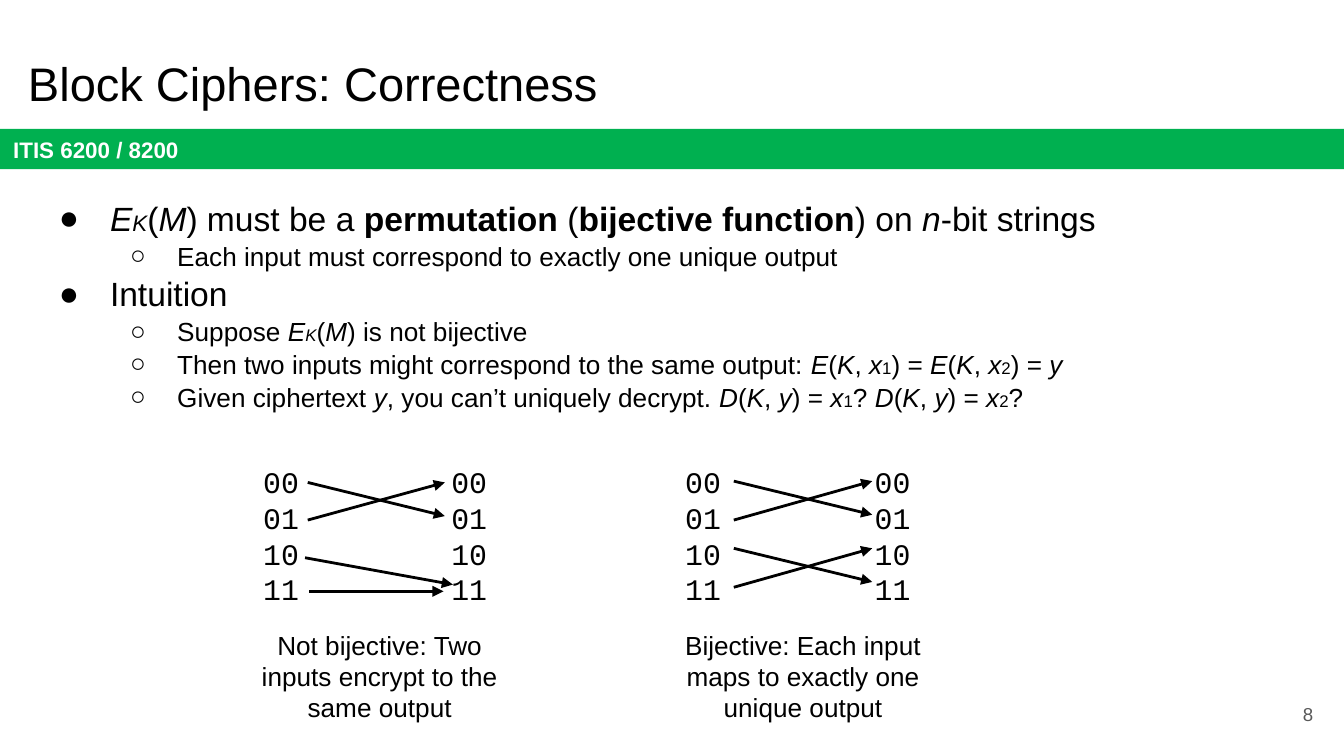
"""Build a slide on why block ciphers must be bijective."""
from pptx import Presentation
from pptx.dml.color import RGBColor
from pptx.enum.shapes import MSO_CONNECTOR, MSO_SHAPE
from pptx.enum.text import MSO_ANCHOR, PP_ALIGN
from pptx.oxml.ns import qn
from pptx.util import Inches, Pt
from lxml.etree import SubElement

BLACK = RGBColor(0x00, 0x00, 0x00)
WHITE = RGBColor(0xFF, 0xFF, 0xFF)
GREEN = RGBColor(0x00, 0xB0, 0x50)
GRAY = RGBColor(0x59, 0x59, 0x59)

WIDTH = 10
HEIGHT = WIDTH * 9 / 16
TITLE = "Block Ciphers: Correctness"
COURSE = "ITIS 6200 / 8200"
PAGE = "8"

BULLETS = [
    (0, "~E|~_K|(|~M|) must be a |*permutation| (|*bijective function|) on |~n|-bit strings"),
    (1, "Each input must correspond to exactly one unique output"),
    (0, "Intuition"),
    (1, "Suppose |~E|~_K|(|~M|) is not bijective"),
    (1, "Then two inputs might correspond to the same output: "
        "|~E|(|~K|, |~x|_1|) = |~E|(|~K|, |~x|_2|) = |~y"),
    (1, "Given ciphertext |~y|, you can’t uniquely decrypt. "
        "|~D|(|~K|, |~y|) = |~x|_1|? |~D|(|~K|, |~y|) = |~x|_2|?"),
]
ITALIC, BOLD, SMALL = MARKS = "~*_"
LEVELS = [
    {"size": 18, "small": 12, "margin": 0.5, "indent": -0.38, "bullet": "●"},
    {"size": 14, "small": 9, "margin": 1, "indent": -0.35, "bullet": "○"},
]

CODES = ["00", "01", "10", "11"]
CODE_TOP, CODE_SIZE = 3.35, (0.55, 1.28)
CAPTION_TOP, CAPTION_SIZE = 4.58, (2.21, 0.91)
CROSSING = [(5.46, 3.58, 6.49, 3.83), (5.46, 3.87, 6.49, 3.58)]
MAPPINGS = [
    {
        "columns": (1.86, 3.26),
        "caption_left": 1.72,
        "caption": "Not bijective: Two inputs encrypt to the same output",
        "arrows": [(2.29, 3.59, 3.31, 3.84), (2.29, 3.87, 3.31, 3.59),
                   (2.27, 4.15, 3.37, 4.35), (2.3, 4.4, 3.3, 4.4)],
    },
    {
        "columns": (5, 6.41),
        "caption_left": 4.87,
        "caption": "Bijective: Each input maps to exactly one unique output",
        "arrows": [(x1, y1 + shift, x2, y2 + shift)
                   for shift in (0, 0.5) for x1, y1, x2, y2 in CROSSING],
    },
]


def style_font(font, size, color=BLACK, name="Arial", bold=False, italic=False):
    font.name, font.size, font.bold, font.italic = name, Pt(size), bold, italic
    font.color.rgb = color


def prepare_frame(shape, anchor):
    frame = shape.text_frame
    frame.word_wrap = True
    frame.vertical_anchor = anchor
    frame.margin_left = frame.margin_right = Inches(0.1)
    frame.margin_top = frame.margin_bottom = Inches(0.1)
    return frame


def fill_text(shape, lines, size, anchor=MSO_ANCHOR.TOP, align=PP_ALIGN.LEFT, **font):
    frame = prepare_frame(shape, anchor)
    frame.text = "\n".join(lines)
    for paragraph in frame.paragraphs:
        paragraph.alignment = align
        for run in paragraph.runs:
            style_font(run.font, size, **font)


def add_text(slide, box, lines, size, **options):
    shape = slide.shapes.add_textbox(*map(Inches, box))
    fill_text(shape, lines, size, **options)


def add_band(slide):
    band = slide.shapes.add_shape(
        MSO_SHAPE.RECTANGLE, *map(Inches, (0, 0.96, WIDTH, 0.3)))
    band.shadow.inherit = False
    band.fill.solid()
    band.fill.fore_color.rgb = GREEN
    band.line.fill.background()
    fill_text(band, [COURSE], 12, anchor=MSO_ANCHOR.MIDDLE, color=WHITE, bold=True)


def set_bullet(paragraph, level):
    properties = paragraph._p.get_or_add_pPr()
    properties.set("marL", str(Inches(level["margin"])))
    properties.set("indent", str(Inches(level["indent"])))
    color = SubElement(properties, qn("a:buClr"))
    SubElement(color, qn("a:srgbClr")).set("val", str(BLACK))
    SubElement(properties, qn("a:buFont")).set("typeface", "Arial")
    SubElement(properties, qn("a:buChar")).set("char", level["bullet"])


def add_bullets(slide):
    shape = slide.shapes.add_textbox(*map(Inches, (0.22, 1.36, 9.32, 1.83)))
    frame = prepare_frame(shape, MSO_ANCHOR.TOP)
    for index, (depth, markup) in enumerate(BULLETS):
        level = LEVELS[depth]
        paragraph = frame.add_paragraph() if index else frame.paragraphs[0]
        paragraph.level = depth
        paragraph.line_spacing = 1.05
        set_bullet(paragraph, level)
        for piece in markup.split("|"):
            text = piece.lstrip(MARKS)
            marks = piece[:len(piece) - len(text)]
            run = paragraph.add_run()
            run.text = text
            style_font(run.font, level["small" if SMALL in marks else "size"],
                       bold=BOLD in marks, italic=ITALIC in marks)


def add_arrow(slide, ends):
    arrow = slide.shapes.add_connector(MSO_CONNECTOR.STRAIGHT, *map(Inches, ends))
    arrow.line.color.rgb = BLACK
    arrow.line.width = Pt(1.5)
    SubElement(arrow.line._get_or_add_ln(), qn("a:tailEnd")).set("type", "triangle")
    SubElement(arrow._element.spPr, qn("a:effectLst"))


def add_mapping(slide, mapping):
    for left in mapping["columns"]:
        add_text(slide, (left, CODE_TOP, *CODE_SIZE), CODES, 16, name="Courier New")
    for ends in mapping["arrows"]:
        add_arrow(slide, ends)
    add_text(slide, (mapping["caption_left"], CAPTION_TOP, *CAPTION_SIZE),
             [mapping["caption"]], 14, align=PP_ALIGN.CENTER)


def main():
    presentation = Presentation()
    presentation.slide_width, presentation.slide_height = Inches(WIDTH), Inches(HEIGHT)
    slide = presentation.slides.add_slide(presentation.slide_layouts[6])
    add_band(slide)
    add_text(slide, (0.11, 0.3, 9.32, 0.63), [TITLE], 25.2, anchor=MSO_ANCHOR.MIDDLE)
    add_bullets(slide)
    for mapping in MAPPINGS:
        add_mapping(slide, mapping)
    add_text(slide, (9.27, 5.1, 0.6, 0.43), [PAGE], 10, anchor=MSO_ANCHOR.MIDDLE,
             align=PP_ALIGN.RIGHT, color=GRAY)
    presentation.save("out.pptx")


if __name__ == "__main__":
    main()
